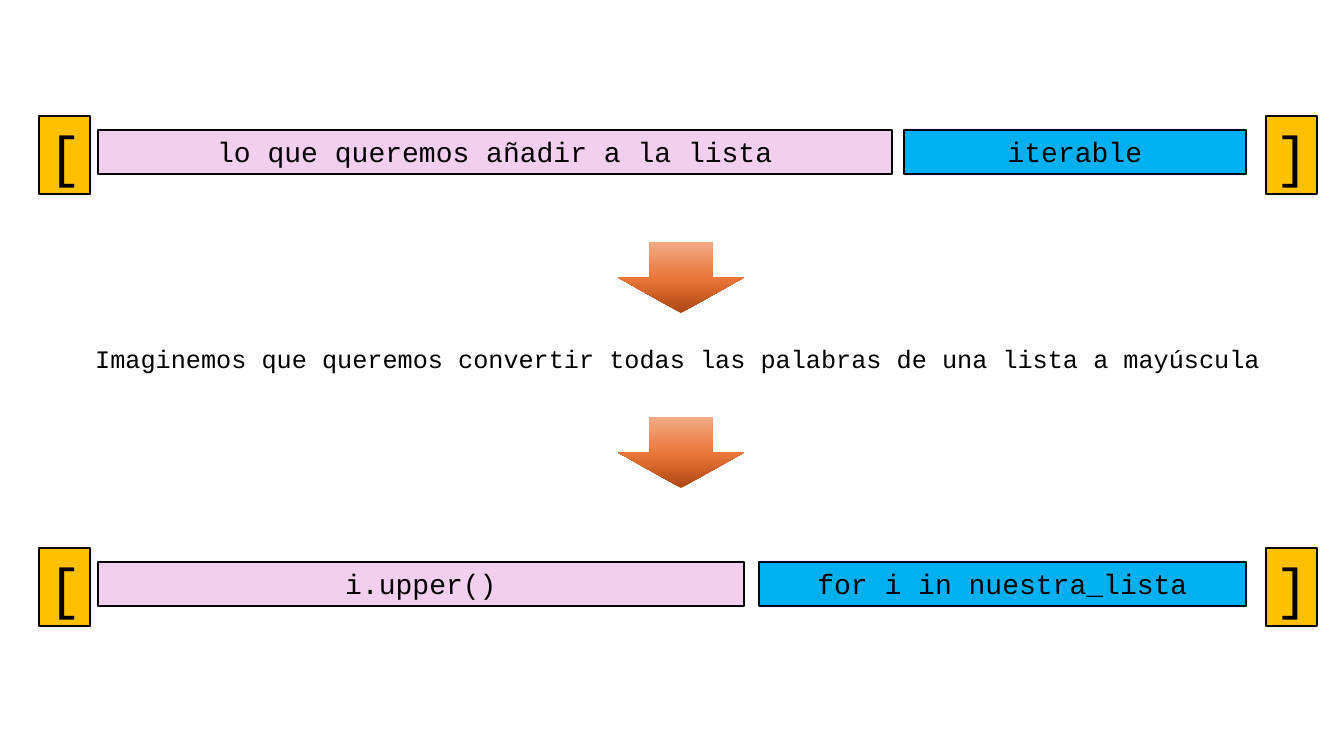
from pptx import Presentation
from pptx.dml.color import RGBColor
from pptx.enum.shapes import MSO_SHAPE as Geo
from pptx.enum.text import MSO_ANCHOR as Anchor, MSO_AUTO_SIZE as Fit, PP_ALIGN as Align
from pptx.oxml import parse_xml
from pptx.util import Emu, Pt

NS = "http://schemas.openxmlformats.org/drawingml/2006/main"
BLACK, GOLD, PINK, BLUE = "000000", "FFC000", "F2CFEE", "00B0F0"
STOPS = ((0, "AB4712"), (48, "EA7538"), (100, "F2AA84"))


def px(n):
    return Emu(round(n * 914400 / 100.8))


def color(code):
    return RGBColor.from_string(code)


def write(frame, text, size=20, font="Courier New", ink=BLACK, align=Align.CENTER):
    frame.word_wrap = True
    frame.auto_size = Fit.SHAPE_TO_FIT_TEXT
    frame.vertical_anchor = Anchor.TOP
    para = frame.paragraphs[0]
    para.alignment = align
    run = para.add_run()
    run.text = text
    run.font.size = Pt(size)
    run.font.name = font
    run.font.color.rgb = color(ink)


class Board:
    def __init__(self, slide, edge=1.5):
        self.slide = slide
        self.edge = edge

    def shape(self, geo, *box):
        item = self.slide.shapes.add_shape(geo, *map(px, box))
        item.shadow.inherit = False
        return item

    def box(self, text, fill, *box, **style):
        item = self.shape(Geo.RECTANGLE, *box)
        item.fill.solid()
        item.fill.fore_color.rgb = color(fill)
        item.line.color.rgb = color(BLACK)
        item.line.width = Pt(self.edge)
        write(item.text_frame, text, **style)

    def label(self, text, *box, **style):
        item = self.slide.shapes.add_textbox(*map(px, box))
        write(item.text_frame, text, **style)

    def arrow(self, *box):
        item = self.shape(Geo.DOWN_ARROW, *box)
        item.line.fill.background()
        # Three-stop gradient, running from bottom to top
        stops = "".join(
            f'<a:gs pos="{pos * 1000}"><a:srgbClr val="{code}"/></a:gs>'
            for pos, code in STOPS)
        grad = parse_xml(
            f'<a:gradFill xmlns:a="{NS}" rotWithShape="1"><a:gsLst>{stops}</a:gsLst>'
            '<a:lin ang="16200000" scaled="0"/></a:gradFill>')
        item.fill.background()
        old = item.element.spPr.find(f"{{{NS}}}noFill")
        item.element.spPr.replace(old, grad)

    def row(self, top, left, right, width, start):
        # Brackets around two boxes that share the inner width
        for sign, x in (("[", 39), ("]", 1266)):
            self.box(sign, GOLD, x, top, 51, 78, size=40, align=Align.LEFT)
        self.box(left, PINK, 98, top + 14, width, 44)
        self.box(right, BLUE, start, top + 14, 1246 - start, 44)


def main():
    deck = Presentation()
    deck.slide_width, deck.slide_height = px(1344), px(756)
    board = Board(deck.slides.add_slide(deck.slide_layouts[6]))

    # General form
    board.row(116, "lo que queremos añadir a la lista", "iterable", 794, 904)

    # Steps between the two forms
    for top in (242, 417):
        board.arrow(618, top, 126, 71)
    board.label("Imaginemos que queremos convertir todas las palabras "
                "de una lista a mayúscula", 39, 338, 1277, 40, size=18)

    # Worked example
    board.row(548, "i.upper()", "for i in nuestra_lista", 646, 759)

    deck.save("out.pptx")


if __name__ == "__main__":
    main()
